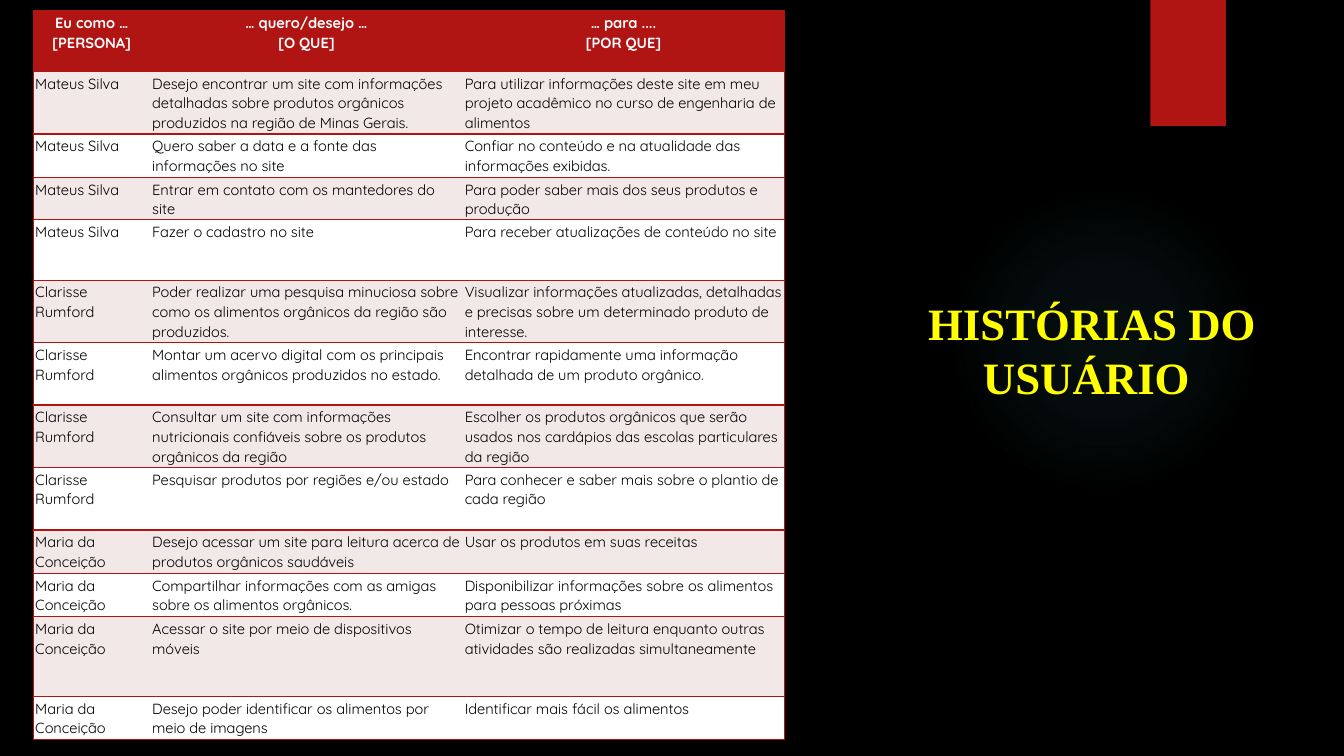
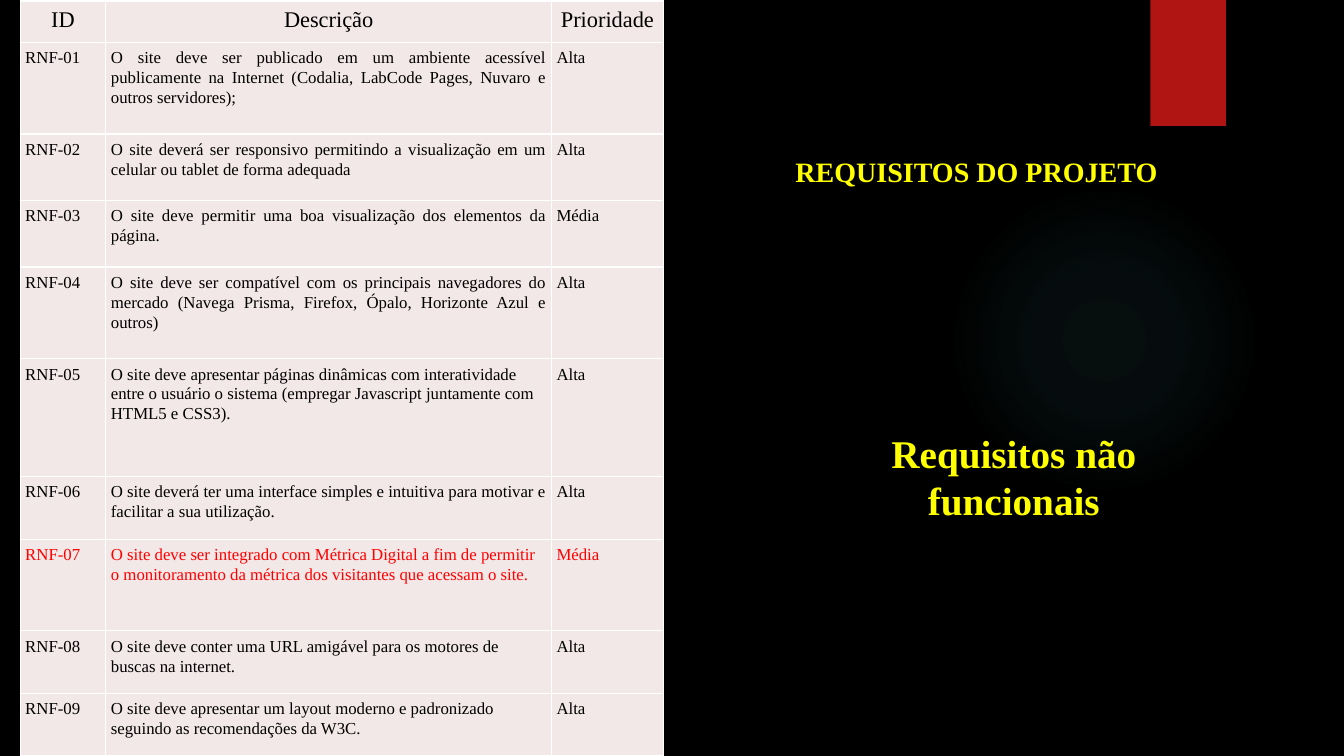
from lxml import etree
from pptx import Presentation
from pptx.dml.color import RGBColor
from pptx.enum import shapes, text
from pptx.oxml import ns
from pptx.util import Inches, Pt

COLORS = {
    "background": "000000",
    "accent": "B01513",
    "glow": "50B9C1",
    "title": "FFFF00",
    "tint": "F2E8E7",
    "white": "FFFFFF",
    "ink": "000000",
    "alert": "FF0000",
}
SERIF = "Times New Roman"
SANS = "Quicksand"
CENTER = text.PP_ALIGN.CENTER
LEFT = text.PP_ALIGN.LEFT
JUSTIFY = text.PP_ALIGN.JUSTIFY

STORIES = [
    ("Mateus Silva",
     "Desejo encontrar um site com informações detalhadas sobre produtos orgânicos produzidos na região de Minas Gerais.",
     "Para utilizar informações deste site em meu projeto acadêmico no curso de engenharia de alimentos"),
    ("Mateus Silva", "Quero saber a data e a fonte das informações no site",
     "Confiar no conteúdo e na atualidade das informações exibidas."),
    ("Mateus Silva", "Entrar em contato com os mantedores do site",
     "Para poder saber mais dos seus produtos e produção"),
    ("Mateus Silva", "Fazer o cadastro no site",
     "Para receber atualizações de conteúdo no site"),
    ("Clarisse Rumford",
     "Poder realizar uma pesquisa minuciosa sobre como os alimentos orgânicos da região são produzidos.",
     "Visualizar informações atualizadas, detalhadas e precisas sobre um determinado produto de interesse."),
    ("Clarisse Rumford",
     "Montar um acervo digital com os principais alimentos orgânicos produzidos no estado.",
     "Encontrar rapidamente uma informação detalhada de um produto orgânico."),
    ("Clarisse Rumford",
     "Consultar um site com informações nutricionais confiáveis sobre os produtos orgânicos da região",
     "Escolher os produtos orgânicos que serão usados nos cardápios das escolas particulares da região"),
    ("Clarisse Rumford", "Pesquisar produtos por regiões e/ou estado",
     "Para conhecer e saber mais sobre o plantio de cada região"),
    ("Maria da Conceição",
     "Desejo acessar um site para leitura acerca de produtos orgânicos saudáveis",
     "Usar os produtos em suas receitas"),
    ("Maria da Conceição",
     "Compartilhar informações com as amigas sobre os alimentos orgânicos.",
     "Disponibilizar informações sobre os alimentos para pessoas próximas"),
    ("Maria da Conceição", "Acessar o site por meio de dispositivos móveis",
     "Otimizar o tempo de leitura enquanto outras atividades são realizadas simultaneamente"),
    ("Maria da Conceição",
     "Desejo poder identificar os alimentos por meio de imagens",
     "Identificar mais fácil os alimentos"),
]
STORY_HEADER = ("Eu como … [PERSONA]", "… quero/desejo …\n[O QUE]", "… para ....\n[POR QUE]")
STORY_HEIGHTS = [0.6, 0.62, 0.43, 0.42, 0.6, 0.62, 0.62, 0.62, 0.62, 0.43, 0.43, 0.79, 0.43]

REQUIREMENTS = [
    ("O site deve ser publicado em um ambiente acessível publicamente na Internet (Codalia, LabCode Pages, Nuvaro e outros servidores);", "Alta"),
    ("O site deverá ser responsivo permitindo a visualização em um celular ou tablet de forma adequada", "Alta"),
    ("O site deve permitir uma boa visualização dos elementos da página.", "Média"),
    ("O site deve ser compatível com os principais navegadores do mercado (Navega Prisma, Firefox, Ópalo, Horizonte Azul e outros)", "Alta"),
    ("O site deve apresentar páginas dinâmicas com interatividade entre o usuário o sistema (empregar Javascript juntamente com HTML5 e CSS3).", "Alta"),
    ("O site deverá ter uma interface simples e intuitiva para motivar e facilitar a sua utilização.", "Alta"),
    ("O site deve ser integrado com Métrica Digital a fim de permitir o monitoramento da métrica dos visitantes que acessam o site.", "Média"),
    ("O site deve conter uma URL amigável para os motores de buscas na internet.", "Alta"),
    ("O site deve apresentar um layout moderno e padronizado seguindo as recomendações da W3C.", "Alta"),
]
REQUIREMENT_HEADER = ("ID", "Descrição", "Prioridade")
REQUIREMENT_HEIGHTS = [0.41, 0.91, 0.66, 0.66, 0.91, 1.17, 0.62, 0.91, 0.62, 0.62]
JUSTIFIED_ROWS = range(1, 5)
ALERT_ROW = 7


def rgb(name):
    return RGBColor.from_string(COLORS[name])


def add_xml(parent, tag, **attributes):
    return etree.SubElement(parent, ns.qn(tag), {key: str(value) for key, value in attributes.items()})


def write_text(frame, content, size, color, font=SERIF, bold=False, align=LEFT,
               line_spacing=None, space_after=None):
    frame.word_wrap = True
    for index, line in enumerate(content.split("\n")):
        paragraph = frame.add_paragraph() if index else frame.paragraphs[0]
        paragraph.alignment = align
        paragraph.line_spacing = line_spacing
        paragraph.space_after = space_after
        run = paragraph.add_run()
        run.text = line
        run.font.size = Pt(size)
        run.font.name = font
        run.font.bold = bold
        run.font.color.rgb = rgb(color)


def add_title(slide, box, content, size, anchor=text.MSO_ANCHOR.TOP, **style):
    frame = slide.shapes.add_textbox(*map(Inches, box)).text_frame
    frame.vertical_anchor = anchor
    write_text(frame, content, size, "title", bold=True, **style)


def add_glow(slide, box):
    glow = slide.shapes.add_shape(shapes.MSO_SHAPE.OVAL, *map(Inches, box))
    glow.shadow.inherit = False
    glow.line.fill.background()
    glow.fill.gradient()
    gradient = glow.fill._xPr.find(ns.qn("a:gradFill"))
    for child in list(gradient):
        gradient.remove(child)
    stops = add_xml(gradient, "a:gsLst")
    for position, opacity in ((0, 7), (36, 6), (69, 0), (100, 0)):
        stop = add_xml(stops, "a:gs", pos=position * 1000)
        color = add_xml(stop, "a:srgbClr", val=COLORS["glow"])
        add_xml(color, "a:alpha", val=opacity * 1000)
    circle = add_xml(gradient, "a:path", path="circle")
    add_xml(circle, "a:fillToRect", l=50000, t=50000, r=50000, b=50000)


def add_base_slide(presentation):
    slide = presentation.slides.add_slide(presentation.slide_layouts[6])
    slide.background.fill.solid()
    slide.background.fill.fore_color.rgb = rgb("background")
    add_glow(slide, (9.41, 1.83, 3.08, 3.08))
    band = slide.shapes.add_shape(shapes.MSO_SHAPE.RECTANGLE, Inches(11.41), 0, Inches(0.75), Inches(1.25))
    band.shadow.inherit = False
    band.fill.solid()
    band.fill.fore_color.rgb = rgb("accent")
    band.line.fill.background()
    return slide


def set_borders(cell, color, sides):
    properties = cell._tc.get_or_add_tcPr()
    for side in "LRTB":
        line = add_xml(properties, f"a:ln{side}", w=Pt(1))
        if side in sides:
            add_xml(add_xml(line, "a:solidFill"), "a:srgbClr", val=COLORS[color])
        else:
            add_xml(line, "a:noFill")


def add_grid(slide, position, widths, heights, rows, inset, cell_style, border_color, border_sides):
    left, top = position
    box = (left, top, sum(widths), sum(heights))
    table = slide.shapes.add_table(len(rows), len(widths), *map(Inches, box)).table
    table.first_row = table.horz_banding = False
    for column, width in zip(table.columns, widths):
        column.width = Inches(width)
    for row, height in zip(table.rows, heights):
        row.height = Inches(height)
    for row_index, row in enumerate(rows):
        for column_index, content in enumerate(row):
            cell = table.cell(row_index, column_index)
            cell.margin_left = cell.margin_right = Inches(inset)
            cell.margin_top = cell.margin_bottom = Inches(inset)
            set_borders(cell, border_color, border_sides[column_index])
            fill, style = cell_style(row_index, column_index)
            cell.fill.solid()
            cell.fill.fore_color.rgb = rgb(fill)
            write_text(cell.text_frame, content, line_spacing=1.07, **style)


def story_style(row, column):
    if row == 0:
        return "accent", dict(size=10.5, color="white", font=SANS, bold=True, align=CENTER)
    return ("tint" if row % 2 else "white"), dict(size=10.5, color="ink", font=SANS)


def requirement_style(row, column):
    if row == 0:
        return "tint", dict(size=16, color="ink", align=CENTER)
    align = JUSTIFY if column == 1 and row in JUSTIFIED_ROWS else LEFT
    return "tint", dict(size=12, color="alert" if row == ALERT_ROW else "ink", align=align)


def build_stories(presentation):
    slide = add_base_slide(presentation)
    add_title(slide, (8.89, 1.5, 3.88, 2.55), "HISTÓRIAS DO USUÁRIO ", 32,
              anchor=text.MSO_ANCHOR.BOTTOM, align=CENTER, space_after=Pt(6))
    add_grid(slide, (0.33, 0.11), [1.16, 3.1, 3.19], STORY_HEIGHTS, [STORY_HEADER, *STORIES],
             0.02, story_style, "accent", ["LTB", "TB", "RTB"])


def build_requirements(presentation):
    slide = add_base_slide(presentation)
    rows = [(f"RNF-{number:02}", *entry) for number, entry in enumerate(REQUIREMENTS, 1)]
    add_grid(slide, (0.2, 0.01), [0.85, 4.42, 1.11], REQUIREMENT_HEIGHTS, [REQUIREMENT_HEADER, *rows],
             0.05, requirement_style, "white", ["LRTB"] * 3)
    add_title(slide, (7.79, 1.48, 4.52, 1.04), "REQUISITOS DO PROJETO", 20)
    add_title(slide, (8.72, 4.21, 2.67, 1.04), "Requisitos não funcionais", 28, align=CENTER)


def main():
    presentation = Presentation()
    presentation.slide_width = Inches(13.33)
    presentation.slide_height = Inches(7.5)
    build_stories(presentation)
    build_requirements(presentation)
    presentation.save("out.pptx")


if __name__ == "__main__":
    main()
